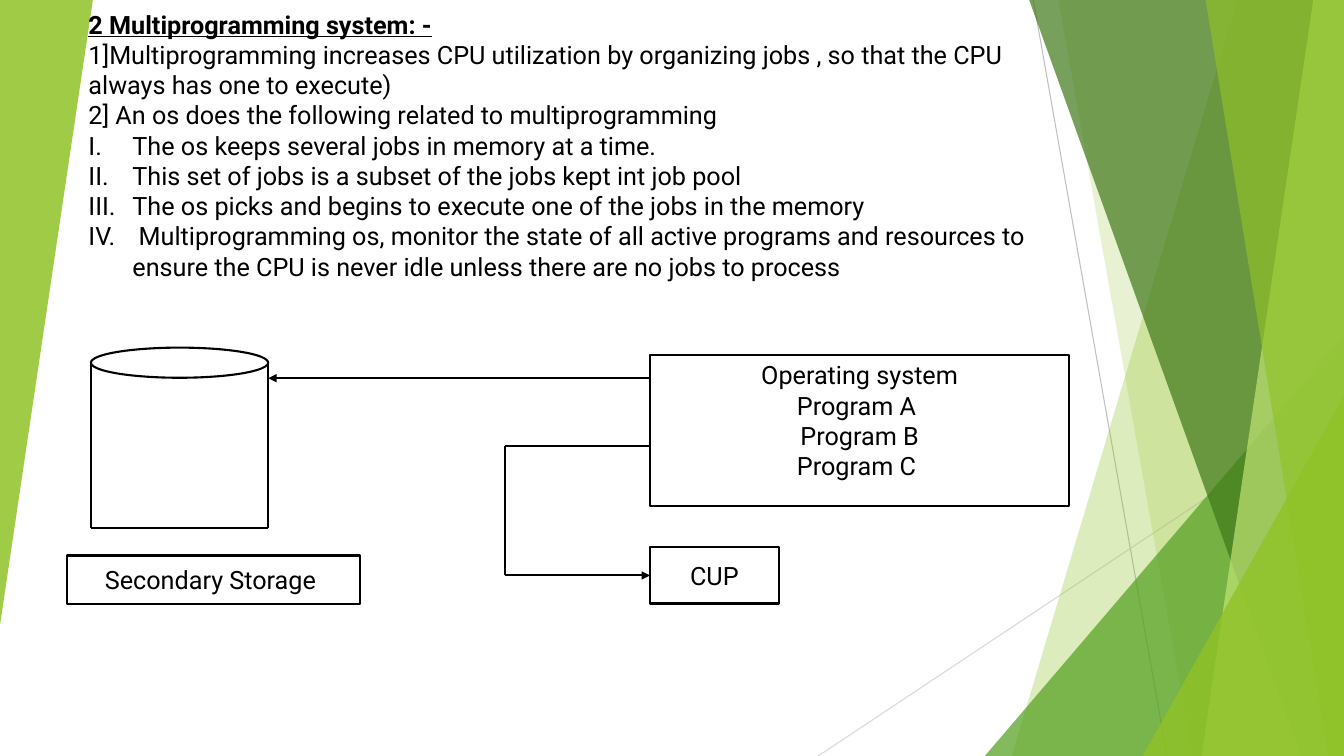
from lxml.etree import SubElement
from pptx import Presentation
from pptx.dml.color import RGBColor
from pptx.enum.shapes import MSO_CONNECTOR, MSO_SHAPE
from pptx.enum.text import MSO_ANCHOR, PP_ALIGN
from pptx.oxml.ns import qn
from pptx.util import Cm, Pt

BLACK = RGBColor(0x00, 0x00, 0x00)
WHITE = RGBColor(0xFF, 0xFF, 0xFF)
GREY = RGBColor(0xBF, 0xBF, 0xBF)
PALE = RGBColor(0xD9, 0xD9, 0xD9)
LEAF = RGBColor(0x90, 0xC2, 0x26)
GRASS = RGBColor(0x54, 0xA0, 0x21)
MOSS = RGBColor(0x3F, 0x78, 0x19)
LIME = RGBColor(0xC0, 0xE4, 0x74)

WIDE, HIGH = 33.87, 19.05
BODY = {"name": "Roboto", "size": Pt(18), "bold": False, "underline": False}
TITLE = BODY | {"bold": True, "underline": True}

deck = Presentation()
deck.slide_width, deck.slide_height = Cm(WIDE), Cm(HIGH)
slide = deck.slides.add_slide(deck.slide_layouts[6])
shapes = slide.shapes


def draw_line(x1, y1, x2, y2, color=BLACK, width=1.5, arrow=False):
    line = shapes.add_connector(
        MSO_CONNECTOR.STRAIGHT, Cm(x1), Cm(y1), Cm(x2), Cm(y2))
    line.line.color.rgb = color
    line.line.width = Pt(width)
    if arrow:
        SubElement(line.line._get_or_add_ln(), qn("a:tailEnd"), type="triangle")
    SubElement(line._element.spPr, qn("a:effectLst"))
    return line


def set_font(para, style):
    for key, value in style.items():
        setattr(para.font, key, value)
    para.font.color.rgb = BLACK


# Thin lines behind the green facets
draw_line(26.04, 0, 29.41, HIGH, GREY, 0.75)
draw_line(WIDE, 10.24, 20.62, HIGH, PALE, 0.75)

# Green facets: a pair is the top and bottom x of a slanted panel that
# reaches the right edge; four numbers are the box of a right triangle
facets = [
    ((31.19, 25.5), LEAF, 30, 0),
    ((26.67, 30.05), LEAF, 20, 0),
    ((24.82, 8.46, 9.05, 10.59), GRASS, 72, 0),
    ((25.93, 32.79), MOSS, 70, 0),
    ((33.1, 30.28), LIME, 70, 0),
    ((30.38, 33.48), LEAF, 65, 0),
    ((28.8, 9.98, 5.07, 9.07), LEAF, 80, 0),
    ((0, 0, 2.34, 15.75), LEAF, 85, 180),
]
for place, color, alpha, turn in facets:
    if len(place) == 2:
        top, base = place
        path = shapes.build_freeform(Cm(top), Cm(-0.02))
        path.add_line_segments(
            [(Cm(x), Cm(y)) for x, y in ((WIDE, -0.02), (WIDE, HIGH), (base, HIGH))])
        facet = path.convert_to_shape()
    else:
        facet = shapes.add_shape(
            MSO_SHAPE.ISOSCELES_TRIANGLE, *[Cm(n) for n in place])
        facet.adjustments[0] = 1
        facet.rotation = turn
    facet.shadow.inherit = False
    facet.fill.solid()
    facet.fill.fore_color.rgb = color
    facet.line.fill.background()
    tint = facet._element.spPr.find(qn("a:solidFill"))[0]
    SubElement(tint, qn("a:alpha"), val=str(alpha * 1000))

# Notes on multiprogramming
notes = [
    ("2 Multiprogramming system: -", TITLE, False),
    ("1]Multiprogramming increases CPU utilization by organizing jobs , "
     "so that the CPU always has one to execute)", BODY, False),
    ("2] An os does the following related to multiprogramming", BODY, False),
    ("The os keeps several jobs in memory at a time.", BODY, True),
    ("This set of jobs is a subset of the jobs kept int job pool", BODY, True),
    ("The os picks and begins to execute one of the jobs in the memory",
     BODY, True),
    (" Multiprogramming os, monitor the state of all active programs and "
     "resources to ensure the CPU is never idle unless there are no jobs "
     "to process", BODY, True),
]
frame = shapes.add_textbox(Cm(1.98), Cm(0.1), Cm(24.16), Cm(7.19)).text_frame
frame.word_wrap = True
for i, (text, style, roman) in enumerate(notes):
    para = frame.add_paragraph() if i else frame.paragraphs[0]
    para.text = text
    if roman:
        props = para._p.get_or_add_pPr()
        props.set("marL", str(Cm(1.11)))
        props.set("indent", str(Cm(-1.11)))
        SubElement(props, qn("a:buFont"), typeface="Roboto")
        SubElement(props, qn("a:buAutoNum"), type="romanUcPeriod")
    set_font(para, style)

# Disk top and labelled boxes
nodes = [
    (MSO_SHAPE.OVAL, (2.29, 8.76, 4.47, 0.76), MSO_ANCHOR.MIDDLE, []),
    (MSO_SHAPE.RECTANGLE, (16.38, 8.94, 10.57, 3.81), MSO_ANCHOR.TOP,
     ["Operating system", "Program A ", "Program B", "Program C "]),
    (MSO_SHAPE.RECTANGLE, (1.7, 14, 7.37, 1.22), MSO_ANCHOR.MIDDLE,
     ["Secondary Storage "]),
    (MSO_SHAPE.RECTANGLE, (16.38, 13.79, 3.25, 1.42), MSO_ANCHOR.MIDDLE,
     ["CUP"]),
]
for kind, place, anchor, lines in nodes:
    node = shapes.add_shape(kind, *[Cm(n) for n in place])
    node.shadow.inherit = False
    node.fill.solid()
    node.fill.fore_color.rgb = WHITE
    node.line.color.rgb = BLACK
    node.line.width = Pt(1.5)
    frame = node.text_frame
    frame.vertical_anchor = anchor
    for i, text in enumerate(lines):
        para = frame.add_paragraph() if i else frame.paragraphs[0]
        para.text = text
        para.alignment = PP_ALIGN.CENTER
        set_font(para, BODY)

# Disk sides and base
for x in (2.29, 6.76):
    draw_line(x, 9.14, x, 13.31)
draw_line(6.76, 13.31, 2.29, 13.31)

# Arrow to the disk, then the bent arrow to the last box
draw_line(16.38, 9.53, 6.76, 9.53, arrow=True)
draw_line(16.38, 11.23, 12.73, 11.23)
draw_line(12.73, 14.5, 12.73, 11.23)
draw_line(12.73, 14.5, 16.38, 14.5, arrow=True).end_connect(node, 1)

deck.save("out.pptx")
